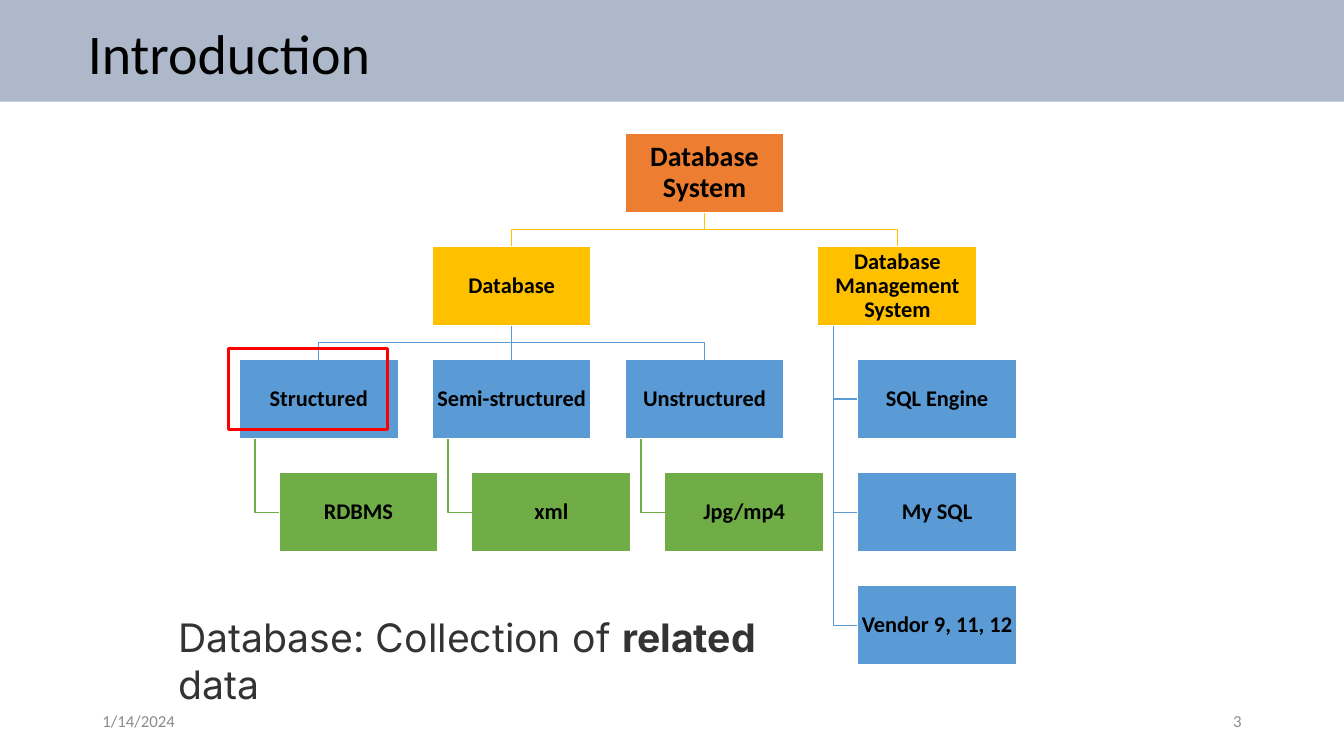
from dataclasses import dataclass

from lxml import etree
from pptx import Presentation
from pptx.dml.color import RGBColor
from pptx.enum.shapes import MSO_CONNECTOR, MSO_SHAPE
from pptx.enum.text import MSO_ANCHOR, PP_ALIGN
from pptx.oxml.ns import qn
from pptx.util import Cm, Pt

RECTANGLE = MSO_SHAPE.RECTANGLE
STRAIGHT = MSO_CONNECTOR.STRAIGHT
TOP, MIDDLE = MSO_ANCHOR.TOP, MSO_ANCHOR.MIDDLE
LEFT, CENTER = PP_ALIGN.LEFT, PP_ALIGN.CENTER
RIGHT, JUSTIFY = PP_ALIGN.RIGHT, PP_ALIGN.JUSTIFY
TITLE_ONLY = 5
BOTTOM_SIDE, TOP_SIDE = 2, 0


def rgb(code):
    return RGBColor.from_string(code)


@dataclass(frozen=True)
class Theme:
    font: str = "Calibri"
    note_font: str = "Inter"
    band: RGBColor = rgb("ADB9CA")
    text: RGBColor = rgb("000000")
    note: RGBColor = rgb("333333")
    footer: RGBColor = rgb("8C8C8C")
    border: RGBColor = rgb("FFFFFF")
    highlight: RGBColor = rgb("FF0000")
    levels: tuple = (rgb("ED7D31"), rgb("FFC000"), rgb("5B9BD5"), rgb("70AD47"))
    title_size: Pt = Pt(40)
    note_size: Pt = Pt(28)
    root_size: Pt = Pt(20)
    node_size: Pt = Pt(16)
    footer_size: Pt = Pt(12)
    line: Pt = Pt(1)
    highlight_line: Pt = Pt(2.25)


@dataclass(frozen=True)
class Node:
    """A chart entry; children without a column hang below their parent."""
    label: str
    column: int = None
    children: tuple = ()


THEME = Theme()
NODE_WIDTH, NODE_HEIGHT = Cm(4.01), Cm(2)
COLUMN_STEP, ROW_STEP = Cm(4.86), Cm(2.85)
HANG_INDENT, TRUNK_INDENT = Cm(1), Cm(0.4)

TREE = Node("Database System", 2, (
    Node("Database", 1, (
        Node("Structured", 0, (Node("RDBMS"),)),
        Node("Semi-structured", 1, (Node("xml"),)),
        Node("Unstructured", 2, (Node("Jpg/mp4"),)),
    )),
    Node("Database Management System", 3, (
        Node("SQL Engine"), Node("My SQL"), Node("Vendor 9, 11, 12"),
    )),
))


def style_paragraph(para, size, color, align, font=THEME.font, bold=False):
    para.alignment = align
    para.font.name = font
    para.font.size = size
    para.font.color.rgb = color
    para.font.bold = bold


def add_rectangle(page, left, top, width, height, fill=None, line=None, line_width=THEME.line):
    box = page.shapes.add_shape(RECTANGLE, left, top, width, height)
    box.shadow.inherit = False
    if fill is None:
        box.fill.background()
    else:
        box.fill.solid()
        box.fill.fore_color.rgb = fill
    if line is None:
        box.line.fill.background()
    else:
        box.line.color.rgb = line
        box.line.width = line_width
    return box


def add_header(page, width, height):
    band = add_rectangle(page, 0, 0, width, height, THEME.band)
    title = page.shapes.title
    title._element.addprevious(band._element)
    title.left, title.top = Cm(1.96), Cm(0.33)
    title.width, title.height = width - Cm(2.2), Cm(1.96)
    title.text_frame.text = "Introduction"
    title.text_frame.vertical_anchor = TOP
    style_paragraph(title.text_frame.paragraphs[0], THEME.title_size, THEME.text, JUSTIFY)


def add_node(page, label, left, top, depth):
    box = add_rectangle(page, left, top, NODE_WIDTH, NODE_HEIGHT,
                        THEME.levels[depth], THEME.border)
    frame = box.text_frame
    frame.word_wrap = True
    frame.vertical_anchor = MIDDLE
    frame.margin_left = frame.margin_right = Cm(0.03)
    frame.margin_top = frame.margin_bottom = Cm(0.03)
    frame.text = label
    para = frame.paragraphs[0]
    para.line_spacing = 0.9
    size = THEME.node_size if depth else THEME.root_size
    style_paragraph(para, size, THEME.text, CENTER, bold=True)
    return box


def add_bent_line(page, points, color):
    builder = page.shapes.build_freeform(*points[0], scale=1.0)
    builder.add_line_segments(points[1:], close=False)
    bend = builder.convert_to_shape()
    bend.shadow.inherit = False
    bend.fill.background()
    bend.line.color.rgb = color
    bend.line.width = THEME.line


def link_nodes(page, parent, child, hanging, color):
    start_y = parent.top + parent.height
    if hanging:
        trunk_x = parent.left + TRUNK_INDENT
        child_y = child.top + child.height // 2
        add_bent_line(page, [(trunk_x, start_y), (trunk_x, child_y), (child.left, child_y)], color)
    elif parent.left == child.left:
        connector = page.shapes.add_connector(STRAIGHT, 0, 0, 0, 0)
        connector.begin_connect(parent, BOTTOM_SIDE)
        connector.end_connect(child, TOP_SIDE)
        connector.line.color.rgb = color
        connector.line.width = THEME.line
        etree.SubElement(connector._element.spPr, qn("a:effectLst"))
    else:
        start_x = parent.left + parent.width // 2
        end_x = child.left + child.width // 2
        middle_y = (start_y + child.top) // 2
        add_bent_line(page, [(start_x, start_y), (start_x, middle_y),
                             (end_x, middle_y), (end_x, child.top)], color)


def add_branch(page, node, chart_left, left, top, depth=0):
    """Draw a node and everything below it; return the node's box."""
    box = add_node(page, node.label, left, top, depth)
    for index, child in enumerate(node.children):
        hanging = child.column is None
        child_left = left + HANG_INDENT if hanging else chart_left + child.column * COLUMN_STEP
        child_top = top + ROW_STEP * (index + 1 if hanging else 1)
        child_box = add_branch(page, child, chart_left, child_left, child_top, depth + 1)
        link_nodes(page, box, child_box, hanging, THEME.levels[depth + 1])
    return box


def add_chart_tree(page, left, top):
    add_branch(page, TREE, left, left + TREE.column * COLUMN_STEP, top)
    add_rectangle(page, left - Cm(0.27), top + 2 * ROW_STEP - Cm(0.27), Cm(4), Cm(2.03),
                  line=THEME.highlight, line_width=THEME.highlight_line)


def add_definition(page, left, top, width, height):
    frame = page.shapes.add_textbox(left, top, width, height).text_frame
    frame.word_wrap = True
    para = frame.paragraphs[0]
    style_paragraph(para, THEME.note_size, THEME.note, JUSTIFY, THEME.note_font)
    for text, bold in (("Database: Collection of ", False), ("related", True), (" data", False)):
        span = para.add_run()
        span.text = text
        span.font.bold = bold


def add_footer(page, left, top, width, height):
    part_width = Cm(7.62)
    for text, part_left, align in (("1/14/2024", left, LEFT),
                                   ("3", left + width - part_width, RIGHT)):
        frame = page.shapes.add_textbox(part_left, top, part_width, height).text_frame
        frame.word_wrap = True
        frame.vertical_anchor = MIDDLE
        frame.text = text
        style_paragraph(frame.paragraphs[0], THEME.footer_size, THEME.footer, align)


def main():
    deck = Presentation()
    deck.slide_width, deck.slide_height = Cm(33.87), Cm(19.05)
    page = deck.slides.add_slide(deck.slide_layouts[TITLE_ONLY])
    add_header(page, deck.slide_width, Cm(2.56))
    add_chart_tree(page, Cm(6.03), Cm(3.36))
    add_definition(page, Cm(4.24), Cm(15.32), Cm(15.06), Cm(1.45))
    add_footer(page, Cm(2.33), Cm(17.65), Cm(29.21), Cm(1.01))
    deck.save("out.pptx")


if __name__ == "__main__":
    main()
